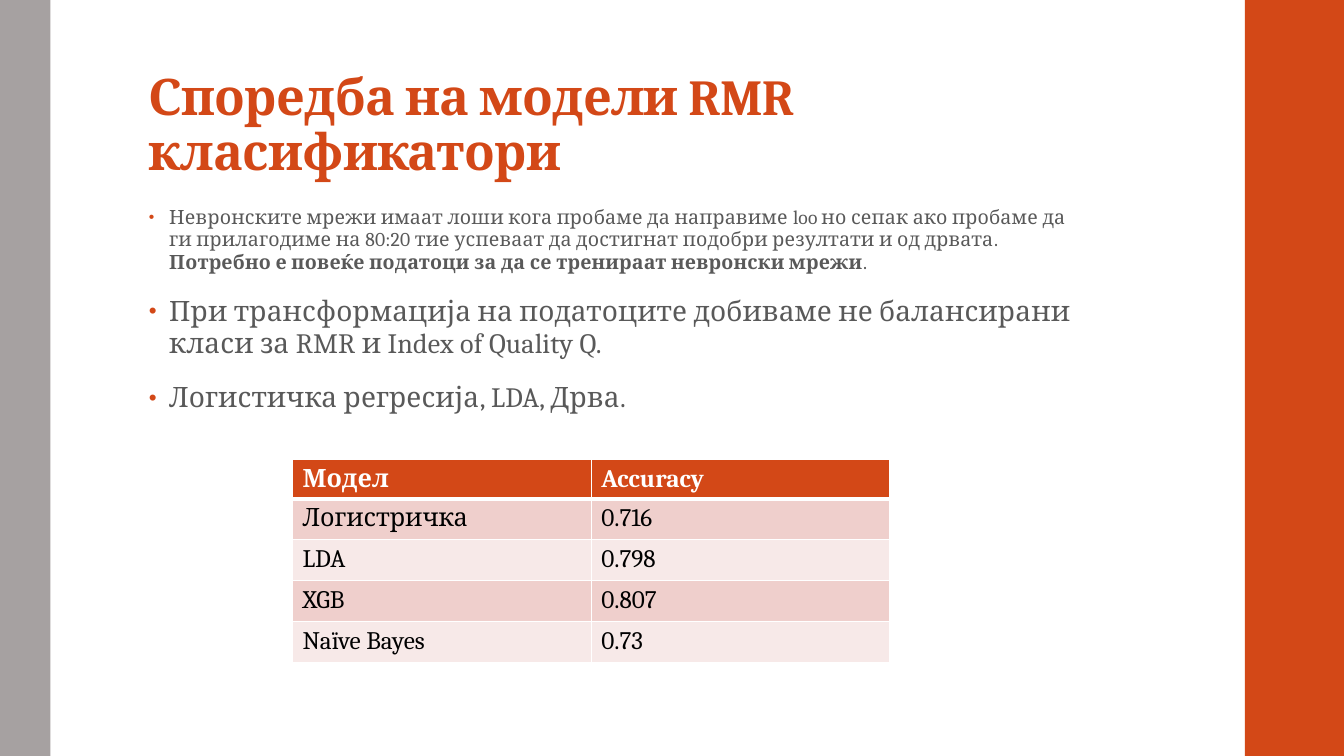
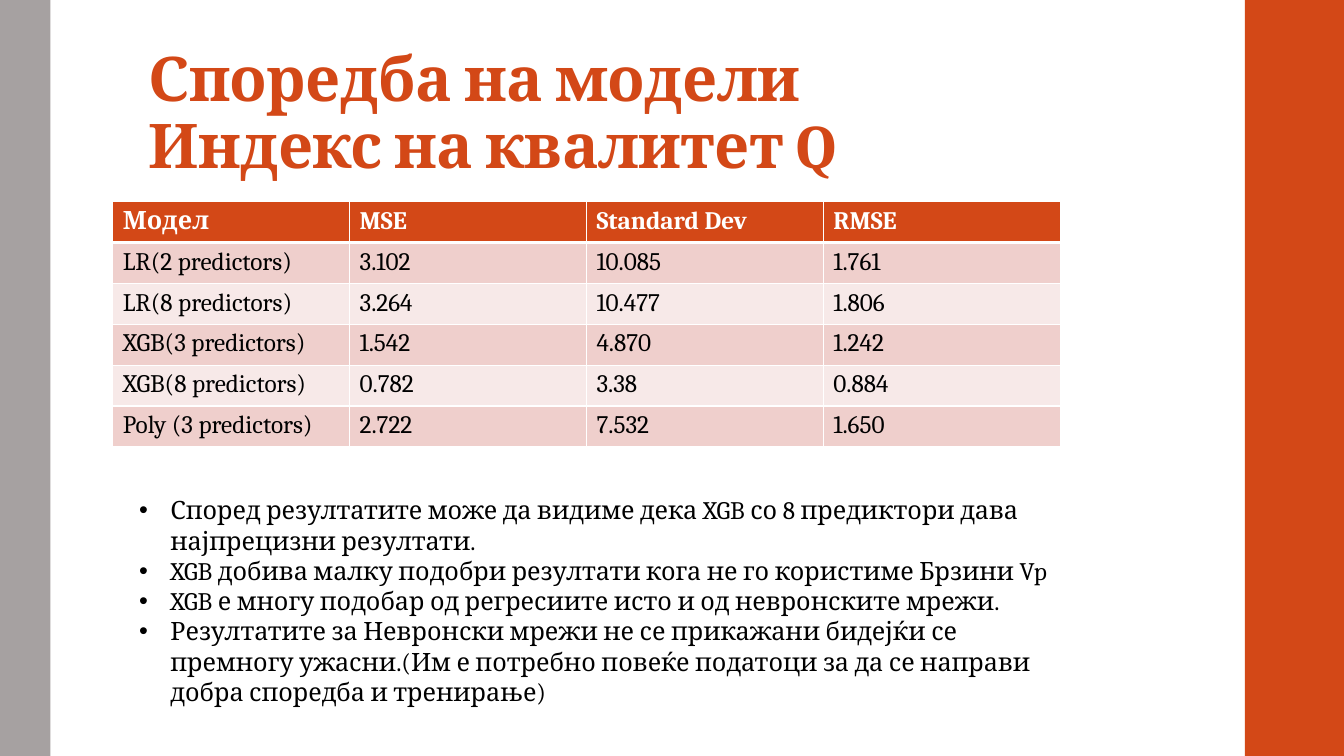
from copy import deepcopy
from lxml import etree
from pptx import Presentation
from pptx import util as u
from pptx.dml.color import RGBColor
from pptx.enum import shapes, text
from pptx.oxml.ns import qn

# Shared look
ORANGE, GREY, BODY, BLACK, WHITE = "D34817", "A6A1A1", "595959", "000000", "FFFFFF"
ROW_FILLS = ("EFCFCC", "F7E9E8")
FONT = "Cambria"
SLIDE_W, SLIDE_H = 33.87, 19.05
BANDS = [(31.37, 2.5, ORANGE), (0, 1.27, GREY)]  # left, width, colour
TITLE_BOX = (3.5, 0.81, 26.92, 3.89)
TITLE_FRAME = dict(vertical_anchor=text.MSO_ANCHOR.BOTTOM, margin_top=u.Cm(0.08),
                   margin_left=u.Cm(0.25), margin_right=u.Cm(0.25), margin_bottom=u.Cm(0.13),
                   auto_size=text.MSO_AUTO_SIZE.NONE, word_wrap=True)
LIST_FRAME = dict(vertical_anchor=text.MSO_ANCHOR.TOP, word_wrap=True,
                  auto_size=text.MSO_AUTO_SIZE.NONE)
SPACED = dict(para=dict(line_spacing=0.95, space_before=u.Pt(14), space_after=u.Pt(2)),
              indent=0.51, bullet=(ORANGE, 80), color=BODY, spc=10)
PLAIN = dict(para=dict(line_spacing=1.0, space_before=u.Pt(0), space_after=u.Pt(0)),
             indent=0.79, bullet=(BLACK, 100), color=BLACK, spc=0)

# Content: each list item is (size, [(text, bold), ...])
SLIDES = [
    dict(
        title="Споредба на модели RMR\nкласификатори", title_size=36,
        table=dict(box=(7.37, 11.58, 15.06), head=0.99, rows=[
            ("Модел", "Accuracy"),
            ("Логистричка", "0.716"),
            ("LDA", "0.798"),
            ("XGB", "0.807"),
            ("Naïve Bayes", "0.73"),
        ]),
        list_box=(3.5, 5.08, 23.88, 6.3), style=SPACED,
        items=[
            (14, [("Невронските мрежи имаат лоши кога пробаме да направиме loo но сепак ако "
                   "пробаме да ги прилагодиме на 80:20 тие успеваат да достигнат подобри "
                   "резултати и од дрвата. ", False),
                  ("Потребно е повеќе податоци за да се тренираат невронски мрежи", True),
                  (".", False)]),
            (20, [("При трансформација на податоците добиваме не балансирани класи за RMR "
                   "и Index of Quality Q.", False)]),
            (20, [("Логистичка регресија, LDA, Дрва.", False)]),
        ]),
    dict(
        title="Споредба на модели\nИндекс на квалитет Q", title_size=44,
        table=dict(box=(2.84, 5.08, 23.88), head=1.03, rows=[
            ("Модел", "MSE", "Standard Dev", "RMSE"),
            ("LR(2 predictors)", "3.102", "10.085", "1.761"),
            ("LR(8 predictors)", "3.264", "10.477", "1.806"),
            ("XGB(3 predictors)", "1.542", "4.870", "1.242"),
            ("XGB(8 predictors)", "0.782", "3.38", "0.884"),
            ("Poly (3 predictors)", "2.722", "7.532", "1.650"),
        ]),
        list_box=(3.25, 12.34, 23.5, 5.64), style=PLAIN,
        items=[(18, [(line, False)]) for line in (
            "Според резултатите може да видиме дека XGB со 8 предиктори дава "
            "најпрецизни резултати.",
            "XGB добива малку подобри резултати кога не го користиме Брзини Vp",
            "XGB е многу подобар од регресиите исто и од невронските мрежи.",
            "Резултатите за Невронски мрежи не се прикажани бидејќи се премногу ужасни."
            "(Им е потребно повеќе податоци за да се направи добра споредба и тренирање)",
        )]),
]


def rgb(value):
    return RGBColor.from_string(value)


def apply(obj, values):
    for name, value in values.items():
        setattr(obj, name, value)


def place(sp, box):
    apply(sp, dict(zip(("left", "top", "width", "height"), map(u.Cm, box))))


def style_run(r, size, color, bold=False, spc=0):
    apply(r.font, dict(name=FONT, size=u.Pt(size), bold=bold))
    r.font.color.rgb = rgb(color)
    if spc:
        r.font._element.set("spc", str(spc))


def sub(parent, tag, **attrs):
    return etree.SubElement(parent, qn(tag), attrs)


def add_bands(slide, master):
    """Draw the side bands and move them to the master, behind everything."""
    for i, (left, width, color) in enumerate(BANDS):
        sp = slide.shapes.add_shape(shapes.MSO_SHAPE.RECTANGLE, u.Cm(left), 0,
                                    u.Cm(width), u.Cm(SLIDE_H))
        sp.shadow.inherit = False
        sp.fill.solid()
        sp.fill.fore_color.rgb = rgb(color)
        sp.line.fill.background()
        sp._element.nvSpPr.cNvPr.set("id", str(20 + i))
        master.shapes._spTree.insert(2 + i, sp._element)


def fill_title(sp, title, size):
    place(sp, TITLE_BOX)
    tf = sp.text_frame
    apply(tf, TITLE_FRAME)
    p = tf.paragraphs[0]
    p.text = title
    apply(p, dict(alignment=text.PP_ALIGN.LEFT, line_spacing=0.9))
    for r in p.runs:
        style_run(r, size, ORANGE, True, -50)
    for br in p._p.findall(qn("a:br")):
        br.append(deepcopy(p.runs[0].font._element))


def add_bullet(p, indent, color, percent):
    pPr = p._p.get_or_add_pPr()
    pPr.set("marL", str(u.Cm(indent)))
    pPr.set("indent", str(-u.Cm(indent)))
    sub(sub(pPr, "a:buClr"), "a:srgbClr", val=color)
    sub(pPr, "a:buSzPct", val=str(percent * 1000))
    sub(pPr, "a:buFont", typeface="Arial")
    sub(pPr, "a:buChar", char="•")


def fill_list(sp, box, items, style):
    place(sp, box)
    tf = sp.text_frame
    apply(tf, LIST_FRAME)
    for i, (size, parts) in enumerate(items):
        p = tf.add_paragraph() if i else tf.paragraphs[0]
        apply(p, style["para"])
        add_bullet(p, style["indent"], *style["bullet"])
        for words, bold in parts:
            r = p.add_run()
            r.text = words
            style_run(r, size, style["color"], bold, style["spc"])


def add_borders(cell, bottom):
    tcPr = cell._tc.get_or_add_tcPr()
    widths = {"a:lnL": 1, "a:lnR": 1, "a:lnT": 1, "a:lnB": bottom}
    for i, (tag, width) in enumerate(widths.items()):
        ln = sub(tcPr, tag, w=str(u.Pt(width)))
        sub(sub(ln, "a:solidFill"), "a:srgbClr", val=WHITE)
        tcPr.insert(i, ln)


def add_table(slide, box, head, rows, row_height=1.03):
    left, top, width = box
    heights = [head] + [row_height] * (len(rows) - 1)
    table = slide.shapes.add_table(len(rows), len(rows[0]), *map(
        u.Cm, (left, top, width, sum(heights)))).table
    for i, values in enumerate(rows):
        table.rows[i].height = u.Cm(heights[i])
        header = i == 0
        for j, value in enumerate(values):
            cell = table.cell(i, j)
            cell.text = value
            style_run(cell.text_frame.paragraphs[0].runs[0], 18,
                      WHITE if header else BLACK, header)
            cell.fill.solid()
            cell.fill.fore_color.rgb = rgb(ORANGE if header else ROW_FILLS[(i - 1) % 2])
            # Both sides of the header rule carry the same width
            add_borders(cell, 3 if header else 1)
            if i == 1:
                cell._tc.tcPr.find(qn("a:lnT")).set("w", str(u.Pt(3)))


def main():
    prs = Presentation()
    apply(prs, dict(slide_width=u.Cm(SLIDE_W), slide_height=u.Cm(SLIDE_H)))
    for i, content in enumerate(SLIDES):
        s = prs.slides.add_slide(prs.slide_layouts.get_by_name("Title and Content"))
        if i == 0:
            add_bands(s, prs.slide_master)
        fill_title(s.shapes.title, content["title"], content["title_size"])
        fill_list(s.placeholders[1], content["list_box"], content["items"], content["style"])
        add_table(s, **content["table"])
    prs.save("out.pptx")


if __name__ == "__main__":
    main()
